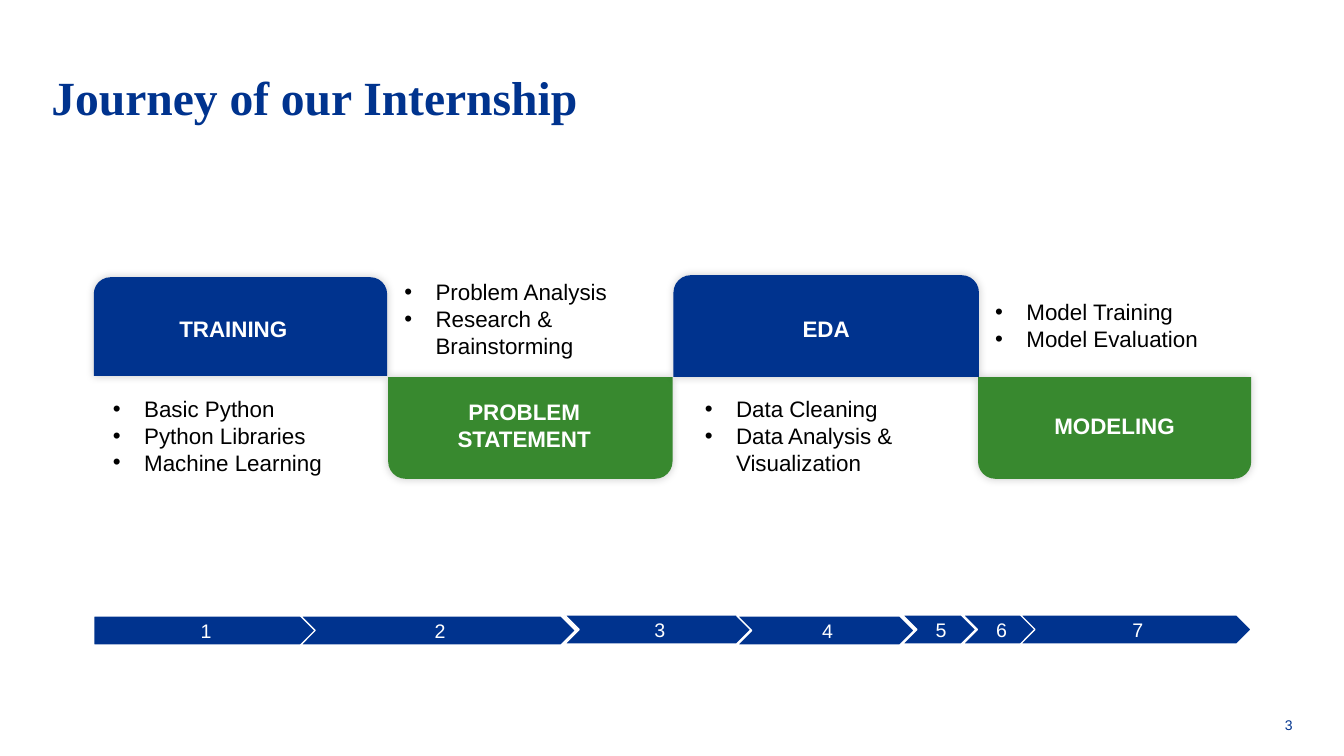
from lxml import etree
from pptx import Presentation
from pptx.dml.color import RGBColor
from pptx.enum.shapes import MSO_SHAPE
from pptx.enum.text import MSO_ANCHOR, PP_ALIGN
from pptx.oxml.ns import qn
from pptx.util import Inches, Pt

CARD = MSO_SHAPE.ROUND_2_SAME_RECTANGLE
PLATE = MSO_SHAPE.PENTAGON
ARROW = MSO_SHAPE.CHEVRON
LEFT, CENTER, RIGHT = PP_ALIGN.LEFT, PP_ALIGN.CENTER, PP_ALIGN.RIGHT
TOP, MIDDLE, BOTTOM = MSO_ANCHOR.TOP, MSO_ANCHOR.MIDDLE, MSO_ANCHOR.BOTTOM

COLORS = {"blue": "00338E", "green": "38892F", "white": "FFFFFF", "black": "000000"}


class Deck:
    sans = "Arial"
    serif = "Times New Roman"

    def __init__(self, slide):
        self.slide = slide

    def color(self, name):
        return RGBColor.from_string(COLORS[name])

    def fill_text(self, shape, text, size, color, align=LEFT, anchor=TOP,
                  bold=False, font=sans, inset=(0, 0, 0, 0), bullet=False):
        frame = shape.text_frame
        frame.word_wrap = True
        frame.vertical_anchor = anchor
        (frame.margin_left, frame.margin_top,
         frame.margin_right, frame.margin_bottom) = [Inches(n) for n in inset]
        frame.text = text
        for para in frame.paragraphs:
            para.alignment = align
            if bullet:
                props = para._p.get_or_add_pPr()
                props.set("marL", str(Inches(0.31)))
                props.set("indent", str(-Inches(0.31)))
                etree.SubElement(props, qn("a:buFont")).set("typeface", self.sans)
                etree.SubElement(props, qn("a:buChar")).set("char", "•")
            for run in para.runs:
                run.font.name = font
                run.font.size = Pt(size)
                run.font.bold = bold
                run.font.color.rgb = self.color(color)
        return frame

    def label(self, box, text, size, color, **style):
        shape = self.slide.shapes.add_textbox(*[Inches(n) for n in box])
        return self.fill_text(shape, text, size, color, **style)

    def shape(self, kind, box, fill):
        shape = self.slide.shapes.add_shape(kind, *[Inches(n) for n in box])
        shape.shadow.inherit = False
        shape.fill.solid()
        shape.fill.fore_color.rgb = self.color(fill)
        return shape

    def title(self, text):
        frame = self.label((0.51, 0.28, 12.32, 0.96), text, 34, "blue", anchor=BOTTOM,
                           bold=True, font=self.serif, inset=(0, 0, 2, 0))
        frame.paragraphs[0].line_spacing = Pt(34)

    def card(self, box, text, fill, shift, upper):
        shape = self.shape(CARD, box, fill)
        shape.line.fill.background()
        shape.adjustments[0], shape.adjustments[1] = (0.17, 0) if upper else (0, 0.17)
        glow = etree.SubElement(shape._element.spPr.find(qn("a:effectLst")),
                                qn("a:outerShdw"), blurRad=str(Pt(6)), dist="0",
                                dir="13500000", algn="ctr", rotWithShape="0")
        tint = etree.SubElement(glow, qn("a:srgbClr"), val=COLORS["black"])
        etree.SubElement(tint, qn("a:alpha"), val="20000")
        self.fill_text(shape, text, 16, "white", align=CENTER, anchor=MIDDLE, bold=True,
                       inset=(0.1, 0.05, 0.1 + 2 * shift, 0.05))

    def bullets(self, box, items):
        self.label(box, "\n".join(items), 16, "black", bullet=True)

    def step(self, kind, box, text):
        shape = self.shape(kind, box, "blue")
        shape.line.color.rgb = self.color("white")
        shape.line.width = Pt(1)
        self.fill_text(shape, text, 14, "white", align=CENTER, anchor=MIDDLE,
                       inset=(0.06, 0.04, 0.02, 0.04))


def main():
    show = Presentation()
    show.slide_width, show.slide_height = Inches(13.33), Inches(7.5)
    deck = Deck(show.slides.add_slide(show.slide_layouts[6]))
    deck.title("Journey of our Internship")
    deck.label((12.28, 7.03, 0.54, 0.25), "3", 10, "blue", align=RIGHT, anchor=BOTTOM)

    phases = [
        ("TRAINING", (0.93, 2.75, 2.91, 0.98), 0.07, (1.12, 3.92, 2.71, 0.81),
         ["Basic Python", "Python Libraries", "Machine Learning"]),
        ("PROBLEM\nSTATEMENT", (3.85, 3.74, 2.82, 1.01), 0.06, (4.01, 2.76, 2.71, 1.11),
         ["Problem Analysis", "Research & Brainstorming"]),
        ("EDA", (6.68, 2.73, 3.03, 1.01), 0, (6.99, 3.92, 2.71, 1.11),
         ["Data Cleaning", "Data Analysis & Visualization"]),
        ("MODELING", (9.7, 3.74, 2.71, 1.01), 0, (9.87, 2.96, 2.71, 0.54),
         ["Model Training", "Model Evaluation"]),
    ]
    for i, (name, box, shift, area, items) in enumerate(phases):
        upper = i % 2 == 0
        deck.card(box, name, "blue" if upper else "green", shift, upper)
        deck.bullets(area, items)

    steps = [(0.93, 6.11, 2.26), (2.98, 6.11, 2.73), (5.6, 6.1, 1.85), (7.31, 6.11, 1.76),
             (8.95, 6.1, 0.73), (9.55, 6.1, 0.73), (10.12, 6.1, 2.29)]
    for i, (left, top, width) in enumerate(steps, 1):
        deck.step(PLATE if i == 1 else ARROW, (left, top, width, 0.29), str(i))

    show.save("out.pptx")


if __name__ == "__main__":
    main()
